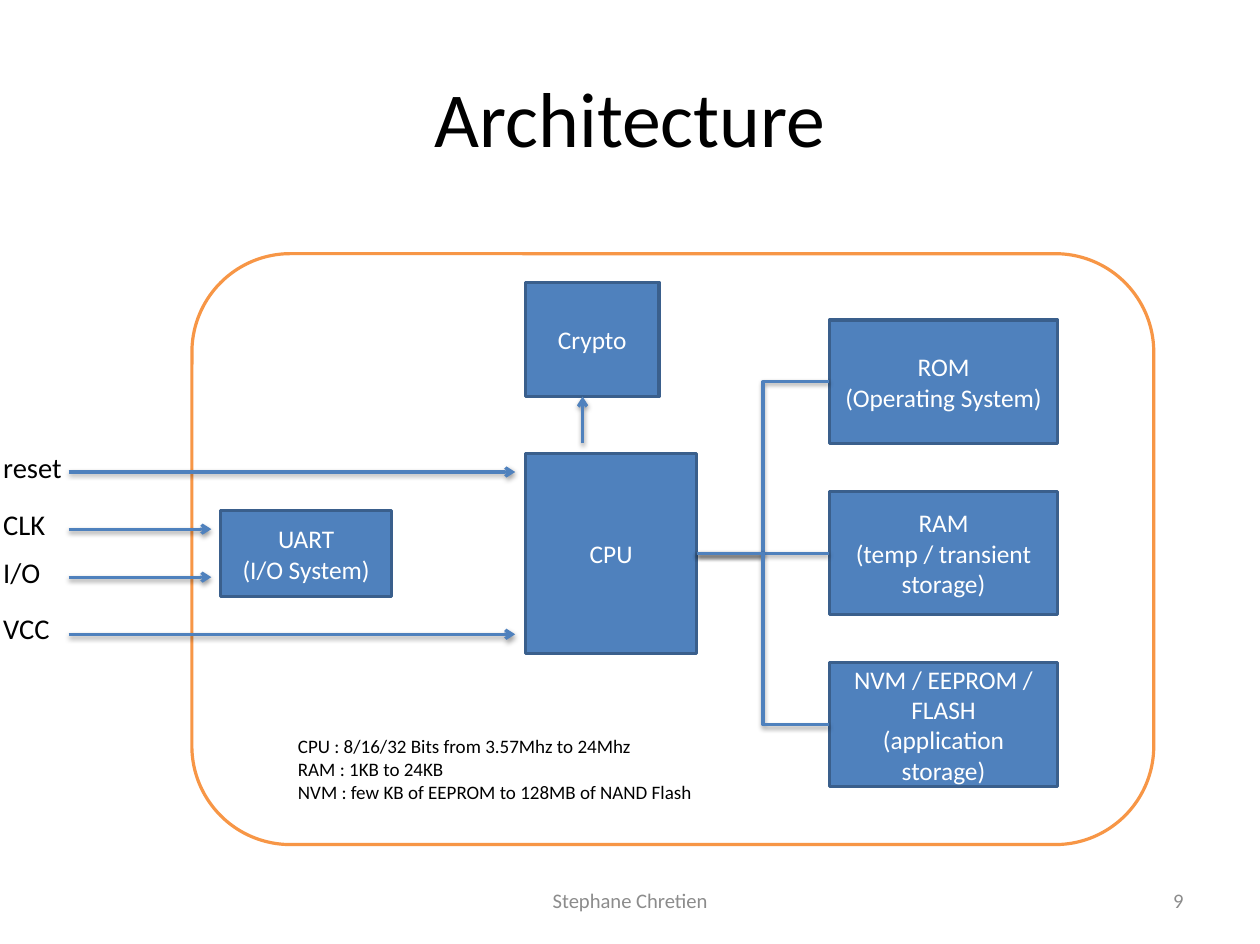
from lxml.etree import SubElement as Sub
from pptx import Presentation
from pptx.dml.color import RGBColor as Rgb
from pptx.enum.shapes import MSO_CONNECTOR as Link, MSO_SHAPE as Form
from pptx.enum.text import MSO_ANCHOR as Anchor, MSO_AUTO_SIZE as Fit, PP_ALIGN as Align
from pptx.oxml.ns import qn
from pptx.util import Pt

SCALE = 9144
BLUE, NAVY, ORANGE = "4F81BD", "3A5F8C", "F79646"
WHITE, BLACK, GREY = "FFFFFF", "000000", "8C8C8C"


def px(*vals):
    """Turn px lengths into EMU."""
    return [val * SCALE for val in vals]


def tint(part, color):
    """Give a fill or a line a solid colour."""
    part.solid()
    part.fore_color.rgb = Rgb.from_string(color)


def put(item, values):
    """Set each named value on an item."""
    for name, value in values.items():
        setattr(item, name, value)


def write(frame, text, size, color, align, lead=None):
    """Fill a text frame with styled paragraphs."""
    frame.text = text
    for para in frame.paragraphs:
        put(para, {"alignment": align, "line_spacing": lead})
        put(para.font, {"name": "Calibri", "size": Pt(size)})
        para.font.color.rgb = Rgb.from_string(color)


def block(slide, place, text="", form=Form.RECTANGLE, fill=BLUE, edge=NAVY):
    """Draw a filled shape with centred text."""
    shape = slide.shapes.add_shape(form, *px(*place))
    shape.shadow.inherit = False
    tint(shape.fill, fill)
    tint(shape.line.fill, edge)
    shape.line.width = Pt(2)
    if text:
        put(shape.text_frame, {"word_wrap": True, "vertical_anchor": Anchor.MIDDLE})
        write(shape.text_frame, text, 16, WHITE, Align.CENTER)
    return shape


def label(slide, place, text, size):
    """Add a plain text box that fits its text."""
    frame = slide.shapes.add_textbox(*px(*place)).text_frame
    put(frame, {"word_wrap": False, "auto_size": Fit.SHAPE_TO_FIT_TEXT})
    write(frame, text, size, BLACK, Align.LEFT)


def banner(slide, place, text, size, color, align, lead=None):
    """Add a title or footer text box."""
    frame = slide.shapes.add_textbox(*px(*place)).text_frame
    side, edge = px(11, 6)
    put(frame, {"word_wrap": True, "vertical_anchor": Anchor.MIDDLE,
                "margin_left": side, "margin_right": side,
                "margin_top": edge, "margin_bottom": edge})
    write(frame, text, size, color, align, lead)


def wire(slide, ends, kind=Link.STRAIGHT, head=True):
    """Draw a shadowed connector, with an arrowhead if asked."""
    line = slide.shapes.add_connector(kind, *px(*ends))
    tint(line.line.fill, BLUE)
    line.line.width = Pt(2)
    props = line._element.spPr
    if head:
        Sub(props.find(qn("a:ln")), qn("a:tailEnd"), type="arrow")
    shade = Sub(Sub(props, qn("a:effectLst")), qn("a:outerShdw"),
                blurRad=str(Pt(3.1)), dist=str(Pt(1.6)), dir="5400000", rotWithShape="0")
    Sub(Sub(shade, qn("a:srgbClr"), val=BLACK), qn("a:alpha"), val="38000")
    return line


def main():
    """Build the architecture slide."""
    deck = Presentation()
    deck.slide_width, deck.slide_height = px(1103, 826)
    slide = deck.slides.add_slide(deck.slide_layouts[6])

    block(slide, (168, 222, 842, 517), form=Form.ROUNDED_RECTANGLE, fill=WHITE, edge=ORANGE)
    banner(slide, (55, 33, 993, 138), "Architecture", 49, BLACK, Align.CENTER)
    banner(slide, (377, 766, 349, 44), "Stephane Chretien", 13, GREY, Align.CENTER, Pt(15.1))
    banner(slide, (790, 766, 257, 44), "9", 13, GREY, Align.RIGHT, Pt(15.1))

    cpu = block(slide, (460, 397, 150, 175), "CPU")
    block(slide, (193, 447, 150, 75), "UART\n(I/O System)")
    block(slide, (460, 247, 117, 100), "Crypto")
    wire(slide, (510, 388, 510, 347))

    stores = ["ROM\n(Operating System)", "RAM\n(temp / transient storage)",
              "NVM / EEPROM / FLASH\n(application storage)"]
    for row, text in enumerate(stores):
        top = 280 + 150 * row
        store = block(slide, (726, top, 200, 108), text)
        bus = wire(slide, (610, 484, 726, top + 54), Link.ELBOW, False)
        bus.begin_connect(cpu, 3)
        bus.end_connect(store, 1)

    pins = [("reset", 389, 72, 413, 451), ("CLK", 439, 57, 463, 185),
            ("I/O", 481, 53, 505, 185), ("VCC", 530, 62, 555, 451)]
    for name, top, width, level, end in pins:
        label(slide, (-7, top, width, 40), name, 18)
        wire(slide, (60, level, end, level))

    label(slide, (251, 638, 369, 71),
          "CPU : 8/16/32 Bits from 3.57Mhz to 24Mhz\nRAM : 1KB to 24KB\n"
          "NVM : few KB of EEPROM to 128MB of NAND Flash", 12)
    deck.save("out.pptx")


if __name__ == "__main__":
    main()
